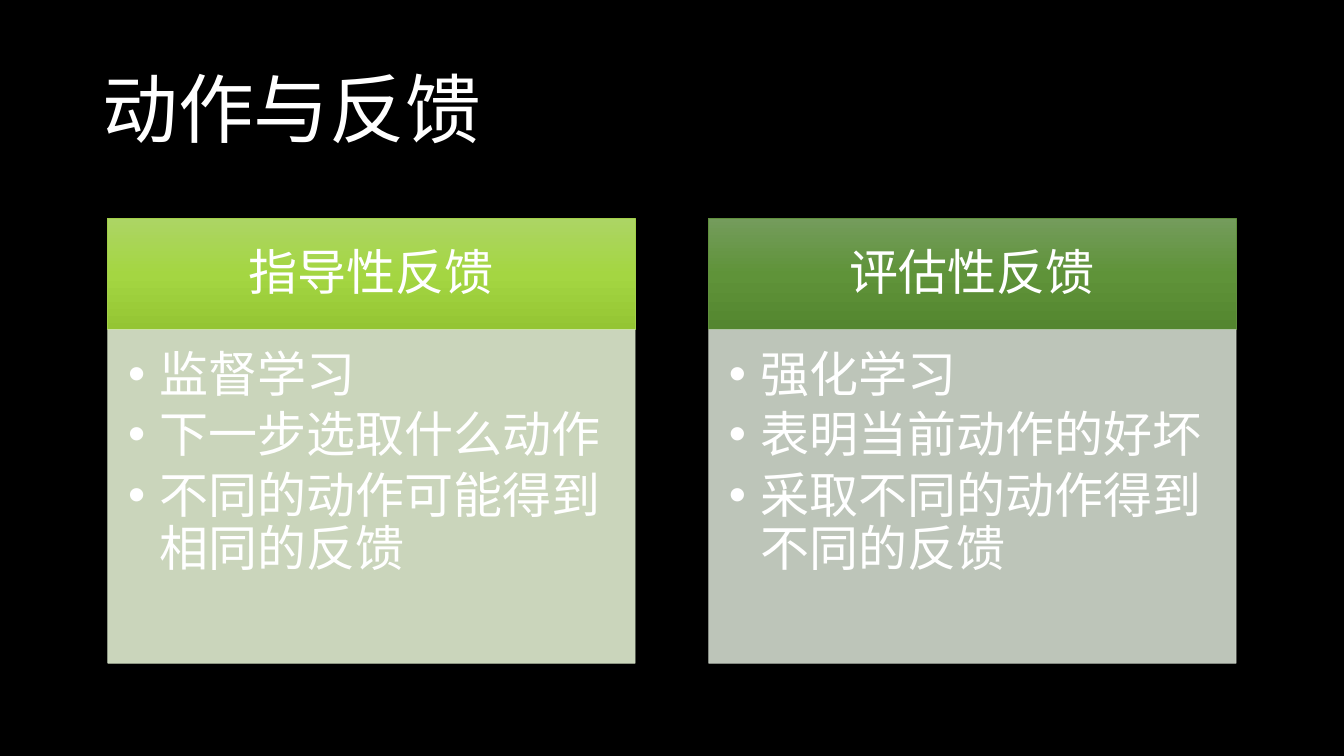
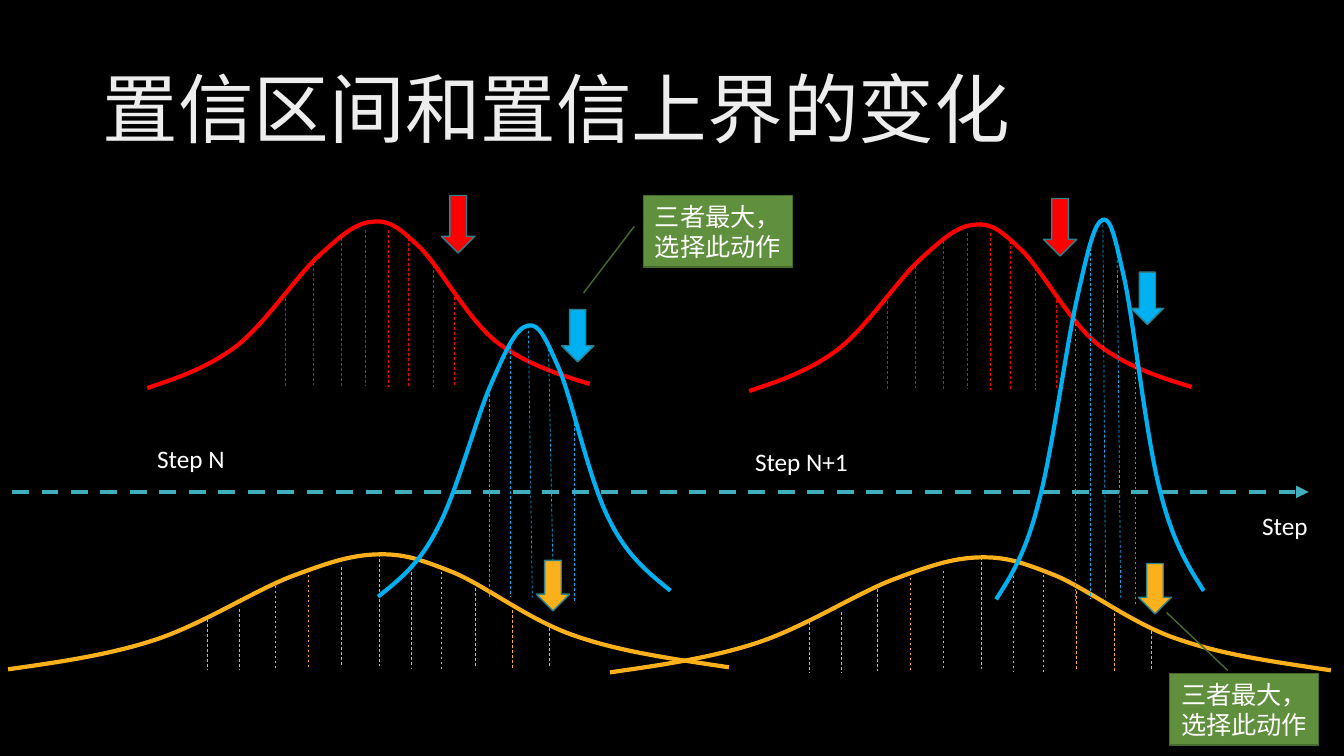
from collections import namedtuple

from lxml import etree
from pptx import Presentation
from pptx import util as u
from pptx.dml.color import RGBColor
from pptx.enum import dml, shapes, text
from pptx.oxml.ns import qn

WHITE, BLACK = "FFFFFF", "000000"
GOLD, RED, BLUE = "FCB11C", "FF0000", "00B0F0"
TEAL, EDGE = "41AEBD", "30818C"
GREEN, MOSS = "608F3D", "476A2D"

# Curves list a start point, then three Bezier points per segment.
# Ticks are (x, top, foot) with an optional x for a leaning foot.
Bell = namedtuple("Bell", "hue left top curve ticks")
LOW = Bell(GOLD, 0.08, 5.5, [
    (0.08, 6.64),
    (0.57, 6.57), (1.07, 6.5), (1.53, 6.35),
    (1.99, 6.2), (2.49, 5.88), (2.86, 5.73),
    (3.23, 5.59), (3.46, 5.51), (3.73, 5.5),
    (4.01, 5.49), (4.17, 5.55), (4.5, 5.68),
    (4.83, 5.82), (5.26, 6.16), (5.71, 6.31),
    (6.17, 6.47), (6.7, 6.54), (7.23, 6.62),
], [
    (2.06, 6.14, 6.64), (2.37, 6.04, 6.64), (2.73, 5.81, 6.63),
    (3.06, 5.65, 6.63), (3.39, 5.63, 6.62), (3.76, 5.5, 6.61),
    (4.08, 5.63, 6.64), (4.38, 5.67, 6.64), (4.71, 5.83, 6.62),
    (5.08, 6.05, 6.64), (5.45, 6.23, 6.61),
])
MID = Bell(RED, 1.46, 2.2, [
    (1.46, 3.85),
    (1.76, 3.75), (2.06, 3.65), (2.35, 3.43),
    (2.63, 3.21), (2.94, 2.74), (3.16, 2.54),
    (3.39, 2.33), (3.53, 2.21), (3.7, 2.2),
    (3.87, 2.18), (3.97, 2.27), (4.17, 2.46),
    (4.37, 2.66), (4.63, 3.15), (4.91, 3.38),
    (5.19, 3.6), (5.52, 3.71), (5.85, 3.81),
], [
    (2.83, 2.91, 3.85), (3.11, 2.61, 3.82), (3.39, 2.36, 3.83),
    (3.62, 2.28, 3.82), (3.85, 2.28, 3.84), (4.05, 2.36, 3.84),
    (4.3, 2.63, 3.84), (4.51, 2.9, 3.84),
])
SLIM = Bell(BLUE, 3.75, 3.23, [
    (3.75, 5.92),
    (3.95, 5.76), (4.16, 5.6), (4.34, 5.24),
    (4.53, 4.89), (4.73, 4.12), (4.88, 3.79),
    (5.03, 3.45), (5.12, 3.25), (5.24, 3.23),
    (5.35, 3.21), (5.41, 3.35), (5.55, 3.67),
    (5.68, 3.99), (5.85, 4.78), (6.04, 5.15),
    (6.22, 5.52), (6.44, 5.69), (6.65, 5.86),
], [
    (4.85, 3.86, 5.93), (5.06, 3.43, 5.92), (5.24, 3.23, 5.93, 5.28),
    (5.44, 3.41, 5.92, 5.49), (5.7, 4.2, 5.97),
])


def rgb(code):
    return RGBColor.from_string(code)


def blend(fill, node, stops, angle):
    """Give fill, found under node, a linear gradient of (percent, colour)."""
    fill.gradient()
    grad = node.find(".//" + qn("a:gradFill"))
    row = grad.find(qn("a:gsLst"))
    for old in list(row):
        row.remove(old)
    for spot, code in stops:
        stop = etree.SubElement(row, qn("a:gs"), pos=str(spot * 1000))
        etree.SubElement(stop, qn("a:srgbClr"), val=code)
    grad.find(qn("a:lin")).set("ang", str(angle * 60000))


def fade(node, part):
    """Set every solid colour under node to an opacity in percent."""
    for hue in node.spPr.iter(qn("a:srgbClr")):
        etree.SubElement(hue, qn("a:alpha"), val=str(part * 1000))


class Deck:
    font = "Calibri"

    def __init__(self):
        self.prs = Presentation()
        self.prs.slide_width = u.Inches(13.33)
        self.prs.slide_height = u.Inches(7.5)
        fill = self.prs.slide_master.background.fill
        fill.solid()
        fill.fore_color.rgb = rgb(BLACK)

    def page(self, title):
        """Start a slide and return its title box."""
        slide = self.prs.slides.add_slide(self.prs.slide_layouts[6])
        self.shapes = slide.shapes
        box = self.label(title, 0.92, 0.4, 11.5, 1.45, 54, True)
        box.text_frame.vertical_anchor = text.MSO_ANCHOR.MIDDLE
        box.text_frame.paragraphs[0].line_spacing = 0.9
        return box

    def style(self, frame, size, align=None):
        for para in frame.paragraphs:
            para.alignment = align
            for run in para.runs:
                run.font.name = self.font
                run.font.size = u.Pt(size)
                run.font.color.rgb = rgb(WHITE)

    def label(self, words, x, y, w, h, size=18, wrap=False):
        box = self.shapes.add_textbox(*map(u.Inches, (x, y, w, h)))
        box.text_frame.word_wrap = wrap
        box.text_frame.text = words
        self.style(box.text_frame, size)
        return box

    def shape(self, kind, x, y, w, h, fill, edge, width=1):
        item = self.shapes.add_shape(kind, *map(u.Inches, (x, y, w, h)))
        item.shadow.inherit = False
        item.fill.solid()
        item.fill.fore_color.rgb = rgb(fill)
        item.line.color.rgb = rgb(edge)
        item.line.width = u.Pt(width)
        return item

    def panel(self, x, head, lines, stops, edge, pale):
        """Draw a gradient header above a pale box of bullets."""
        rect = shapes.MSO_SHAPE.RECTANGLE
        top = self.shape(rect, x, 2.17, 5.23, 1.1, edge, edge, 0.5)
        blend(top.fill, top.element, stops, 90)
        top.text_frame.text = head
        top.text_frame.vertical_anchor = text.MSO_ANCHOR.MIDDLE
        top.text_frame.paragraphs[0].line_spacing = 0.9
        self.style(top.text_frame, 35, text.PP_ALIGN.CENTER)

        body = self.shape(rect, x, 3.27, 5.23, 3.31, pale, pale, 0.5)
        fade(body.element, 90)
        frame = body.text_frame
        frame.word_wrap = True
        frame.vertical_anchor = text.MSO_ANCHOR.TOP
        frame.margin_left = frame.margin_top = u.Inches(0.2)
        frame.margin_right = u.Inches(0.27)
        frame.margin_bottom = u.Inches(0.31)
        frame.text = "\n".join(lines)
        for para in frame.paragraphs:
            props = para._p.get_or_add_pPr()
            props.set("marL", str(u.Inches(0.31)))
            props.set("indent", str(-u.Inches(0.31)))
            etree.SubElement(props, qn("a:buFont"), typeface="Arial")
            etree.SubElement(props, qn("a:buChar"), char="•")
            para.line_spacing = 0.9
            para.space_after = u.Pt(5.5)
        self.style(frame, 35, text.PP_ALIGN.LEFT)

    def line(self, x, y, x2, y2, hue, width, head=False):
        """Draw a dashed line, with an arrowhead at its end if asked."""
        item = self.shapes.add_connector(
            shapes.MSO_CONNECTOR.STRAIGHT, *map(u.Inches, (x, y, x2, y2)))
        item.line.color.rgb = rgb(hue)
        item.line.width = u.Pt(width)
        item.line.dash_style = dml.MSO_LINE.DASH
        props = item.element.spPr
        if head:
            etree.SubElement(props.find(qn("a:ln")), qn("a:tailEnd"),
                             type="triangle")
        etree.SubElement(props, qn("a:effectLst"))

    def curve(self, points, hue):
        """Draw a smooth outline through Bezier points."""
        spots = [(u.Inches(x), u.Inches(y)) for x, y in points]
        pen = self.shapes.build_freeform(*spots[0])
        pen.add_line_segments(spots[1:], close=False)
        item = pen.convert_to_shape()
        route = item.element.find(".//" + qn("a:path"))
        legs = route.findall(qn("a:lnTo"))
        for i in range(0, len(legs), 3):
            bend = etree.SubElement(route, qn("a:cubicBezTo"))
            for leg in legs[i:i + 3]:
                bend.append(leg[0])
                route.remove(leg)
        item.shadow.inherit = False
        item.fill.background()
        item.line.color.rgb = rgb(hue)
        item.line.width = u.Pt(3)

    def bell(self, bell, left, top, wide=1, tall=1):
        """Draw a bell and its ticks, moved to left, top and scaled."""
        def place(x, y):
            return (left + (x - bell.left) * wide,
                    top + (y - bell.top) * tall)

        self.curve([place(*spot) for spot in bell.curve], bell.hue)
        for x, peak, foot, *lean in bell.ticks:
            end = lean[0] if lean else x
            self.line(*place(x, peak), *place(end, foot), bell.hue, 0.5)

    def arrow(self, x, y, w, h, hue):
        self.shape(shapes.MSO_SHAPE.DOWN_ARROW, x, y, w, h, hue, EDGE)

    def callout(self, words, x, y, bends):
        item = self.shape(shapes.MSO_SHAPE.LINE_CALLOUT_1,
                          x, y, 1.48, 0.71, GREEN, MOSS)
        for i, bend in enumerate(bends):
            item.adjustments[i] = bend
        item.text_frame.word_wrap = True
        item.text_frame.vertical_anchor = text.MSO_ANCHOR.MIDDLE
        item.text_frame.text = words
        self.style(item.text_frame, 18, text.PP_ALIGN.CENTER)


def main():
    deck = Deck()

    deck.page("动作与反馈")
    deck.panel(1.07, "指导性反馈",
               ["监督学习", "下一步选取什么动作", "不同的动作可能得到相同的反馈"],
               [(0, "ACD564"), (50, "A4D642"), (100, "94C533")],
               "A2CF49", "E0EDD0")
    deck.panel(7.03, "评估性反馈",
               ["强化学习", "表明当前动作的好坏", "采取不同的动作得到不同的反馈"],
               [(0, "749C5C"), (50, "5F9339"), (100, "54862F")],
               GREEN, "D2DBCE")

    title = deck.page("置信区间和置信上界的变化")
    run = title.text_frame.paragraphs[0].runs[0]
    blend(run.font.fill, title.element,
          [(0, "BFBFBF"), (28, "EDEDED"), (100, WHITE)], 80)
    deck.line(0.12, 4.88, 12.98, 4.88, TEAL, 3, head=True)
    steps = [
        (0, 0, (3.75, 3.23, 1, 1), (5.57, 3.07)),
        (5.97, 0.03, (9.88, 2.18, 0.71, 1.4), (11.22, 2.7)),
    ]
    for dx, dy, slim, tip in steps:
        for bell in (LOW, MID):
            deck.bell(bell, bell.left + dx, bell.top + dy)
        deck.bell(SLIM, *slim)
        deck.arrow(5.32 + dx, 5.56 + dy, 0.33, 0.5, GOLD)
        deck.arrow(4.38 + dx, 1.94 + dy, 0.33, 0.57, RED)
        deck.arrow(*tip, 0.32, 0.52, BLUE)
    deck.label("Step N", 1.46, 4.35, 0.91, 0.4)
    deck.label("Step N+1", 7.39, 4.38, 1.16, 0.4)
    deck.label("Step", 12.42, 5.01, 0.69, 0.4)
    note = "三者最大，选择此动作"
    deck.callout(note, 6.38, 1.94, (0.43, -0.06, 1.36, -0.4))
    deck.callout(note, 11.6, 6.68, (-0.04, 0.39, -0.85, -0.02))

    deck.prs.save("out.pptx")


if __name__ == "__main__":
    main()
